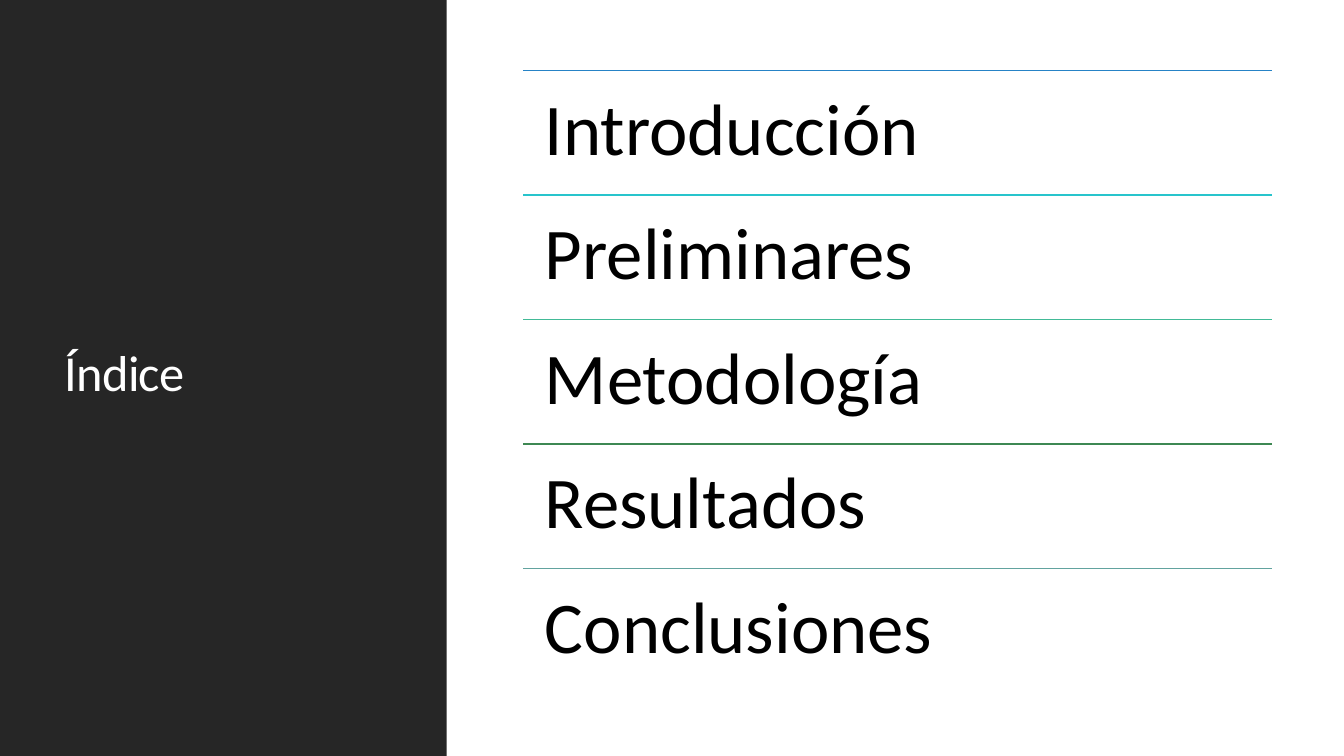
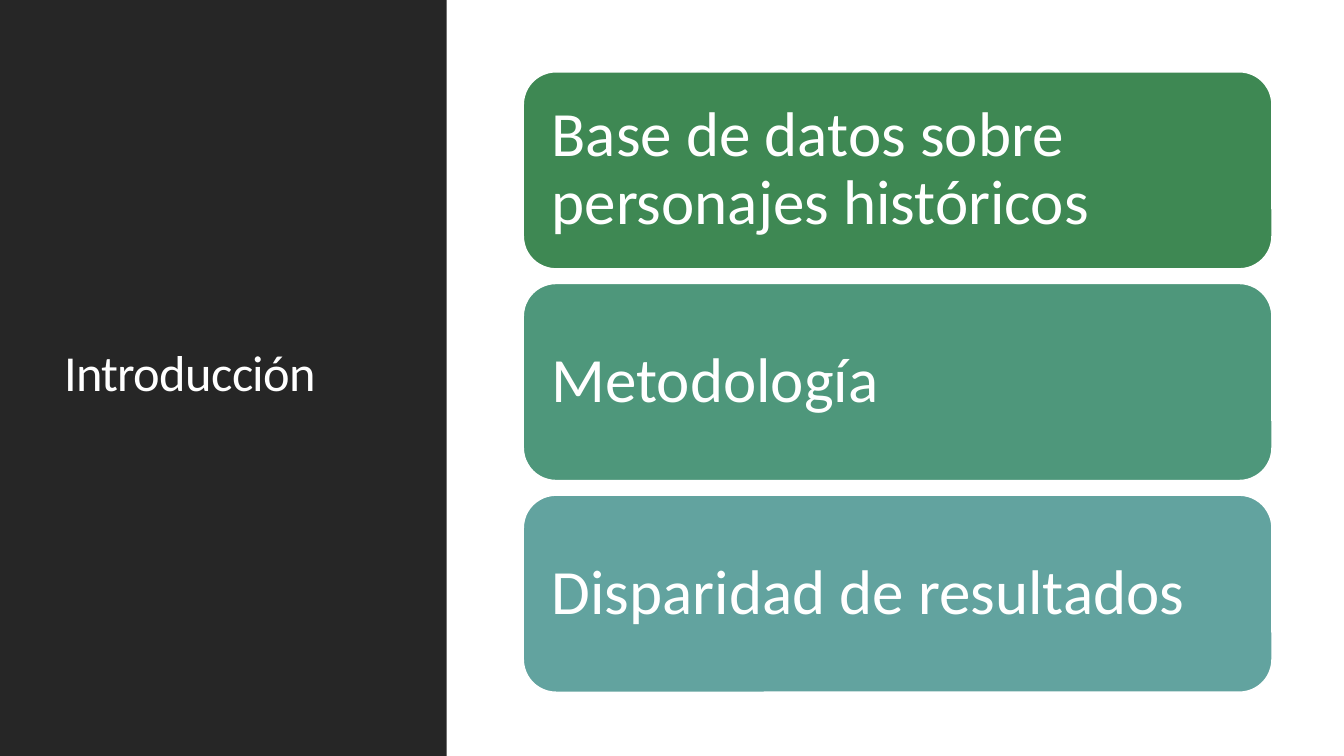
import pptx
import pptx.util
from lxml import etree
from pptx.dml.color import RGBColor
from pptx.enum.shapes import MSO_CONNECTOR, MSO_SHAPE
from pptx.enum.text import MSO_ANCHOR, MSO_AUTO_SIZE, PP_ALIGN
from pptx.oxml.ns import qn

Pt = pptx.util.Pt

COLORS = {
    "panel": "262626",
    "white": "FFFFFF",
    "black": "000000",
    "blue": "2683C6",
    "cyan": "28C4CC",
    "mint": "42BA97",
    "green": "3E8853",
    "jade": "4E977B",
    "teal": "62A39F",
}
FONT = "Calibri"

INDEX_TITLE = "Índice"
INDEX = [
    ("Introducción", "blue"),
    ("Preliminares", "cyan"),
    ("Metodología", "mint"),
    ("Resultados", "green"),
    ("Conclusiones", "teal"),
]
INTRO_TITLE = "Introducción"
INTRO = [
    ("Base de datos sobre personajes históricos", "green"),
    ("Metodología", "jade"),
    ("Disparidad de resultados", "teal"),
]

SLIDE_WIDTH, SLIDE_HEIGHT = 960, 540
PANEL_WIDTH = 319
TITLE_BOX = (38.9, 41, 242.6, 454.3)
LEFT, WIDTH = 373.7, 535
INDEX_TOP, INDEX_ROW = 50.3, 88.95
CARD_TOP, CARD_HEIGHT, CARD_GAP = 51.2, 141, 10.2
LINE_WIDTH = 1.25


def color(name):
    return RGBColor.from_string(COLORS[name])


def points(*lengths):
    return [Pt(length) for length in lengths]


def write(shape, text, size, ink, anchor, margin):
    """Fill a shape with one left-aligned paragraph."""
    frame = shape.text_frame
    frame.word_wrap = True
    frame.auto_size = MSO_AUTO_SIZE.NONE
    frame.vertical_anchor = anchor
    frame.margin_left = frame.margin_right = Pt(margin)
    frame.margin_top = frame.margin_bottom = Pt(margin)
    para = frame.paragraphs[0]
    para.alignment = PP_ALIGN.LEFT
    para.line_spacing = 0.9
    para.font.name = FONT
    para.font.size = Pt(size)
    para.font.color.rgb = color(ink)
    span = para.add_run()
    span.text = text
    return span


def add_page(deck, text):
    """Add a slide with the dark side panel behind its title."""
    page = deck.slides.add_slide(deck.slide_layouts[5])
    title = page.shapes.title
    title.left, title.top, title.width, title.height = points(*TITLE_BOX)
    span = write(title, text, 36, "white", MSO_ANCHOR.MIDDLE, 7.2)
    span.font._element.set("spc", "-50")

    panel = page.shapes.add_shape(
        MSO_SHAPE.RECTANGLE, *points(0, 0, PANEL_WIDTH, SLIDE_HEIGHT))
    panel.shadow.inherit = False
    panel.fill.solid()
    panel.fill.fore_color.rgb = color("panel")
    panel.line.fill.background()
    title.element.addprevious(panel.element)
    return page


def add_rule(page, top, ink):
    rule = page.shapes.add_connector(
        MSO_CONNECTOR.STRAIGHT, *points(LEFT, top, LEFT + WIDTH, top))
    rule.line.color.rgb = color(ink)
    rule.line.width = Pt(LINE_WIDTH)
    etree.SubElement(rule.element.spPr, qn("a:effectLst"))


def add_index(page):
    for row, (text, ink) in enumerate(INDEX):
        top = INDEX_TOP + row * INDEX_ROW
        add_rule(page, top, ink)
        box = page.shapes.add_textbox(*points(LEFT, top, WIDTH, INDEX_ROW))
        write(box, text, 52, "black", MSO_ANCHOR.TOP, 15.6)


def add_cards(page):
    for row, (text, fill) in enumerate(INTRO):
        top = CARD_TOP + row * (CARD_HEIGHT + CARD_GAP)
        card = page.shapes.add_shape(
            MSO_SHAPE.ROUNDED_RECTANGLE, *points(LEFT, top, WIDTH, CARD_HEIGHT))
        card.shadow.inherit = False
        card.fill.solid()
        card.fill.fore_color.rgb = color(fill)
        card.line.color.rgb = color("white")
        card.line.width = Pt(LINE_WIDTH)
        write(card, text, 45, "white", MSO_ANCHOR.MIDDLE, 13.5)


def main():
    deck = pptx.Presentation()
    deck.slide_width, deck.slide_height = points(SLIDE_WIDTH, SLIDE_HEIGHT)
    add_index(add_page(deck, INDEX_TITLE))
    add_cards(add_page(deck, INTRO_TITLE))
    deck.save("out.pptx")


if __name__ == "__main__":
    main()
